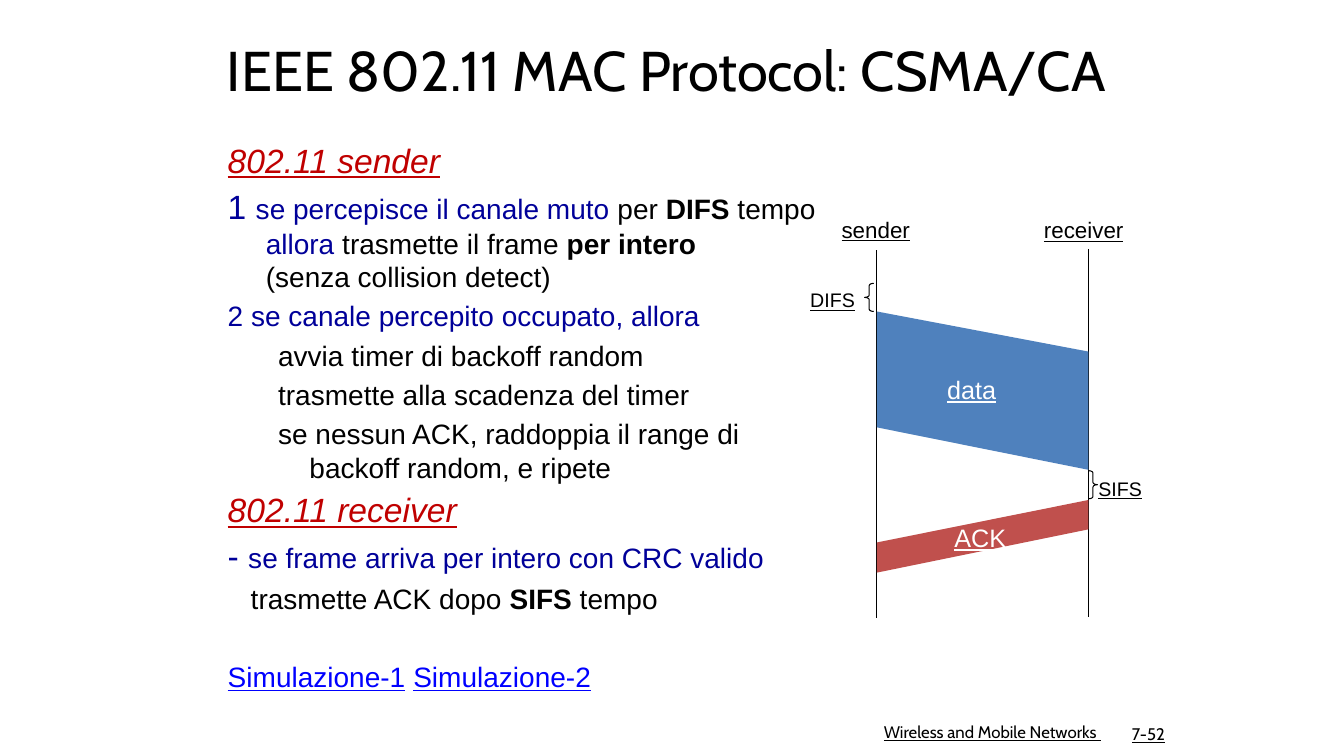
"""Build the slide on the 802.11 CSMA/CA sender and receiver rules."""
from dataclasses import dataclass

import pptx
import pptx.dml.color
import pptx.enum.shapes
import pptx.enum.text
import pptx.oxml.ns
import pptx.util
from pptx.util import Cm

ALIGN = pptx.enum.text.PP_ALIGN
ANCHOR = pptx.enum.text.MSO_ANCHOR
SHAPE = pptx.enum.shapes.MSO_SHAPE


@dataclass(frozen=True)
class Theme:
    """Colours, fonts and type sizes of the slide."""
    black: str = "000000"
    white: str = "FFFFFF"
    navy: str = "000099"
    red: str = "C00000"
    link: str = "0000FF"
    data: str = "4F81BD"
    ack: str = "C0504D"
    body_font: str = "Arial"
    title_font: str = "Cabin"
    title: int = 40
    heading: int = 24
    body: int = 20
    band: int = 18
    station: int = 16
    gap: int = 14
    footer: int = 12


T = Theme()
SENDER_X, RECEIVER_X = 22.1, 27.43
TOP_INDENT, SUB_INDENT, ACK_INDENT = (0.96, -0.96), (2.06, -0.79), (0.58, 0)


def rgb(color):
    """Turn a hex string into a colour."""
    return pptx.dml.color.RGBColor.from_string(color)


def add_run(p, text, size=T.body, color=T.black, font=T.body_font,
            bold=False, italic=False, underline=False):
    """Append one formatted run to a paragraph."""
    r = p.add_run()
    r.text = text
    f = r.font
    f.name, f.size, f.color.rgb = font, pptx.util.Pt(size), rgb(color)
    f.bold, f.italic, f.underline = bold, italic, underline


def add_box(s, box, wrap=True, anchor=ANCHOR.TOP):
    """Add a text box and return its text frame."""
    tf = s.shapes.add_textbox(*map(Cm, box)).text_frame
    tf.word_wrap, tf.vertical_anchor = wrap, anchor
    return tf


def add_line_of_text(s, box, text, align, **style):
    """Add a wrapped one-paragraph box centred vertically."""
    p = add_box(s, box, anchor=ANCHOR.MIDDLE).paragraphs[0]
    p.alignment = align
    add_run(p, text, **style)


def add_label(s, box, text, size, color=T.black):
    """Add an underlined diagram label."""
    tf = add_box(s, box, wrap=False)
    add_run(tf.paragraphs[0], text, size, color, underline=True)


def add_paragraph(tf, runs, indent=TOP_INDENT, before=4):
    """Fill the first or a further paragraph with (text, style) runs."""
    first = not tf.paragraphs[0].runs
    p = tf.paragraphs[0] if first else tf.add_paragraph()
    margin, hang = indent
    pPr = p._p.get_or_add_pPr()
    pPr.set("marL", str(Cm(margin)))
    pPr.set("indent", str(Cm(hang)))
    p.space_before = pptx.util.Pt(0 if first else before)
    for text, style in runs:
        if text == "\n":
            p.add_line_break()
        else:
            add_run(p, text, **style)


def add_timeline(s, x, top, bottom):
    """Draw the vertical time axis of one station."""
    c = s.shapes.add_connector(pptx.enum.shapes.MSO_CONNECTOR.STRAIGHT,
                               Cm(x), Cm(top), Cm(x), Cm(bottom))
    c.line.color.rgb, c.line.width = rgb(T.black), pptx.util.Pt(0.75)
    spPr = c._element.spPr
    spPr.append(spPr.makeelement(pptx.oxml.ns.qn("a:effectLst"), {}))


def add_brace(s, kind, x, y):
    """Draw a brace that marks a waiting time."""
    sp = s.shapes.add_shape(kind, Cm(x), Cm(y), Cm(0.23), Cm(0.71))
    sp.adjustments[0], sp.adjustments[1] = 0.25, 0.5
    sp.shadow.inherit = False
    sp.fill.background()
    sp.line.color.rgb, sp.line.width = rgb(T.black), pptx.util.Pt(0.75)


def add_band(s, sender_span, receiver_span, color):
    """Draw a transmission as a slanted band between the stations."""
    (s_top, s_bottom), (r_top, r_bottom) = sender_span, receiver_span
    points = [(SENDER_X, s_top), (RECEIVER_X, r_top),
              (RECEIVER_X, r_bottom), (SENDER_X, s_bottom)]
    start, *rest = [(Cm(x), Cm(y)) for x, y in points]
    builder = s.shapes.build_freeform(*start)
    builder.add_line_segments(rest, close=True)
    sp = builder.convert_to_shape()
    sp.shadow.inherit = False
    sp.fill.solid()
    sp.fill.fore_color.rgb = rgb(color)
    sp.line.fill.background()


def add_rules(s):
    """Write the sender and receiver rules."""
    heading = dict(size=T.heading, color=T.red, italic=True, underline=True)
    marker = dict(size=T.heading, color=T.navy)
    navy, plain, bold = dict(color=T.navy), {}, dict(bold=True)
    link = dict(color=T.link, underline=True)
    tf = add_box(s, (5.49, 3.4, 15.65, 13.77))
    add_paragraph(tf, [("802.11 sender", heading)])
    add_paragraph(tf, [
        ("1 ", marker), ("se percepisce il canale muto", navy),
        (" per ", plain), ("DIFS", bold), (" tempo ", plain),
        ("allora ", navy), ("trasmette il frame ", plain),
        ("per intero", bold), ("\n", plain),
        ("(senza collision detect)", plain)])
    add_paragraph(tf, [("2 se canale percepito occupato, allora", navy)])
    for step in ("avvia timer di backoff random",
                 "trasmette alla scadenza del timer",
                 "se nessun ACK, raddoppia il range di backoff random, e ripete"):
        add_paragraph(tf, [(step, plain)], SUB_INDENT)
    add_paragraph(tf, [("802.11 receiver", heading)])
    add_paragraph(tf, [("- ", marker),
                       ("se frame arriva per intero con CRC valido", navy)])
    add_paragraph(tf, [("trasmette ACK dopo ", plain), ("SIFS ", bold),
                       ("tempo", plain)], ACK_INDENT)
    add_paragraph(tf, [("Simulazione-1", link), (" ", plain),
                       ("Simulazione-2", link)], before=32)


def add_diagram(s):
    """Draw the exchange between sender and receiver."""
    add_timeline(s, SENDER_X, 6.3, 15.57)
    add_timeline(s, RECEIVER_X, 6.27, 15.54)
    add_label(s, (20.96, 5.31, 2.31, 0.94), "sender", T.station)
    add_label(s, (26.06, 5.33, 2.54, 0.94), "receiver", T.station)
    add_brace(s, SHAPE.LEFT_BRACE, 21.79, 7.14)
    add_label(s, (20.17, 7.14, 1.65, 0.86), "DIFS", T.gap)
    add_band(s, (7.85, 10.77), (8.86, 11.84), T.data)
    add_label(s, (23.62, 9.3, 1.75, 1.02), "data", T.band, T.white)
    add_label(s, (27.43, 11.89, 1.63, 0.86), "SIFS", T.gap)
    add_brace(s, SHAPE.RIGHT_BRACE, RECEIVER_X, 11.86)
    add_band(s, (13.67, 14.43), (12.6, 13.34), T.ack)
    add_label(s, (23.8, 13.03, 1.83, 1.02), "ACK", T.band, T.white)


def main():
    """Build and save the slide."""
    prs = pptx.Presentation()
    prs.slide_width, prs.slide_height = Cm(33.87), Cm(19.05)
    s = prs.slides.add_slide(prs.slide_layouts[6])
    add_line_of_text(s, (5.38, 0.43, 22.83, 2.64),
                     "IEEE 802.11 MAC Protocol: CSMA/CA", ALIGN.CENTER,
                     size=T.title, font=T.title_font)
    add_rules(s)
    add_diagram(s)
    footer = dict(size=T.footer, font=T.title_font, underline=True)
    add_line_of_text(s, (27.71, 18.11, 1.9, 0.76), "7-52", ALIGN.RIGHT, **footer)
    add_line_of_text(s, (20.5, 18.08, 7.49, 0.71),
                     "Wireless and Mobile Networks ", ALIGN.RIGHT, **footer)
    prs.save("out.pptx")


if __name__ == "__main__":
    main()
